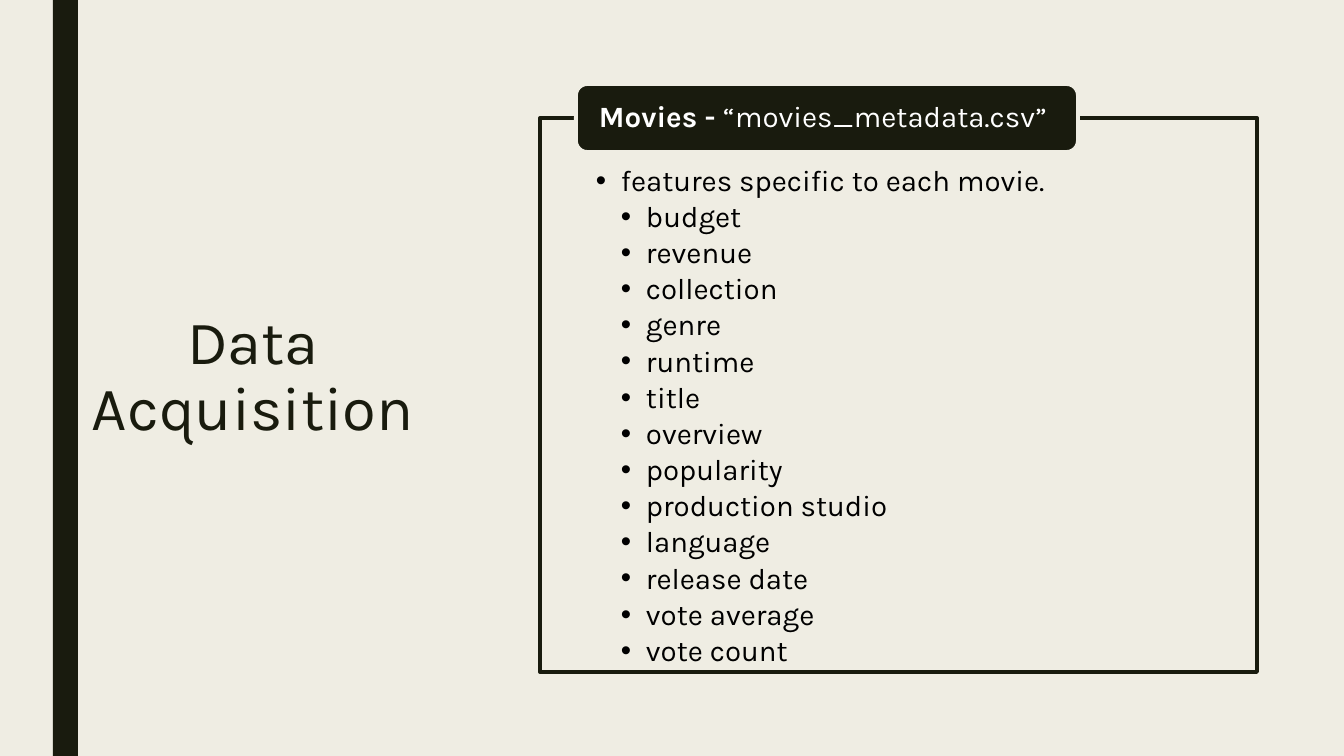
"""Builds the Data Acquisition slide listing the movie metadata features."""
from lxml import etree
from pptx import Presentation, util as u
from pptx.dml.color import RGBColor
from pptx.enum import shapes, text
from pptx.oxml import ns

PIXEL = 914400 / 100.8
FONT = "Karla"
COLOURS = {"paper": "EFEDE3", "ink": "191B0E", "body": "000000", "label": "FFFFFF"}
FEATURES = ["budget", "revenue", "collection", "genre", "runtime", "title", "overview",
            "popularity", "production studio", "language", "release date",
            "vote average", "vote count"]


def px(*lengths):
    return [u.Emu(round(length * PIXEL)) for length in lengths]


def add_span(para, words, size, colour, bold=False):
    span = para.add_run()
    span.text = words
    span.font.name = FONT
    span.font.size = u.Pt(size)
    span.font.bold = bold
    span.font.color.rgb = RGBColor.from_string(COLOURS[colour])


deck = Presentation()
deck.slide_width, deck.slide_height = px(1344, 756)
page = deck.slides.add_slide(deck.slide_layouts[6])
page.background.fill.solid()
page.background.fill.fore_color.rgb = RGBColor.from_string(COLOURS["paper"])

for preset, area, fill, line in [
    (shapes.MSO_SHAPE.RECTANGLE, (53, 0, 25, 756), "ink", None),
    (shapes.MSO_SHAPE.RECTANGLE, (540, 118, 717, 554), "paper", "ink"),
    (shapes.MSO_SHAPE.ROUNDED_RECTANGLE, (576, 84, 502, 68), "ink", "paper"),
]:
    box = page.shapes.add_shape(preset, *px(*area))
    box.shadow.inherit = False
    box.fill.solid()
    box.fill.fore_color.rgb = RGBColor.from_string(COLOURS[fill])
    if line:
        box.line.color.rgb = RGBColor.from_string(COLOURS[line])
        box.line.width = u.Pt(2.75)
    else:
        box.line.fill.background()

frames = []
for area, insets, anchor in [
    ((71, 70, 364, 616), (10, 5, 10, 5), text.MSO_ANCHOR.MIDDLE),
    ((540, 118, 717, 554), (56, 48, 56, 16), text.MSO_ANCHOR.TOP),
    ((580, 87, 495, 61), (19, 0, 19, 0), text.MSO_ANCHOR.MIDDLE),
]:
    frame = page.shapes.add_textbox(*px(*area)).text_frame
    frame.word_wrap = True
    frame.vertical_anchor = anchor
    frame.margin_left, frame.margin_top, frame.margin_right, frame.margin_bottom = px(*insets)
    frames.append(frame)
title, features, label = frames

para = title.paragraphs[0]
para.alignment = text.PP_ALIGN.CENTER
para.line_spacing = 0.89
add_span(para, "Data Acquisition", 44, "ink")

rows = [(0, "features specific to each movie.")] + [(1, feature) for feature in FEATURES]
for index, (level, words) in enumerate(rows):
    para = features.add_paragraph() if index else features.paragraphs[0]
    para.level = level
    para.line_spacing = 0.9
    para.space_after = u.Pt(3.15)
    add_span(para, words, 21, "body")
    settings = para._p.get_or_add_pPr()
    indent = px(25)[0]
    settings.set("marL", str(indent * (level + 1)))
    settings.set("indent", str(-indent))
    etree.SubElement(settings, ns.qn("a:buFont")).set("typeface", "Arial")
    etree.SubElement(settings, ns.qn("a:buChar")).set("char", "•")

para = label.paragraphs[0]
para.line_spacing = 0.9
add_span(para, "Movies - ", 21, "label", bold=True)
add_span(para, "“movies_metadata.csv”", 21, "label")

deck.save("out.pptx")
